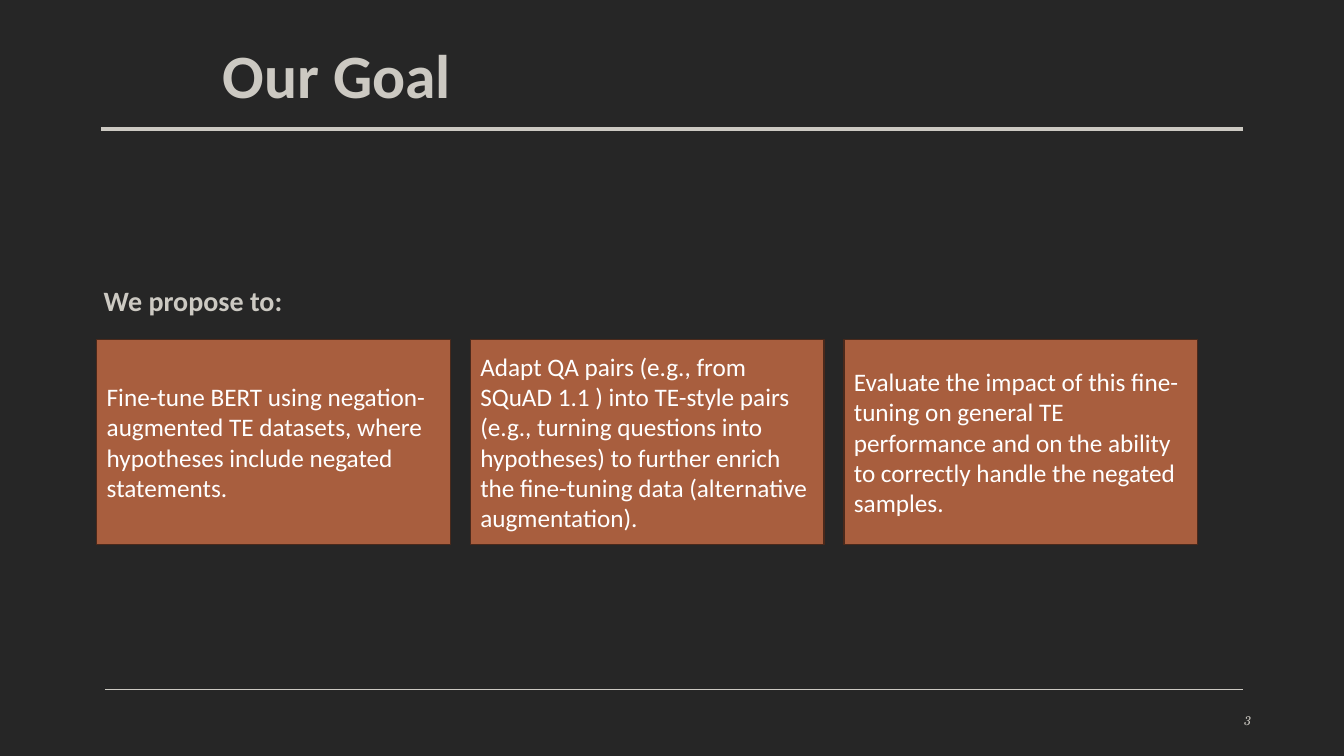
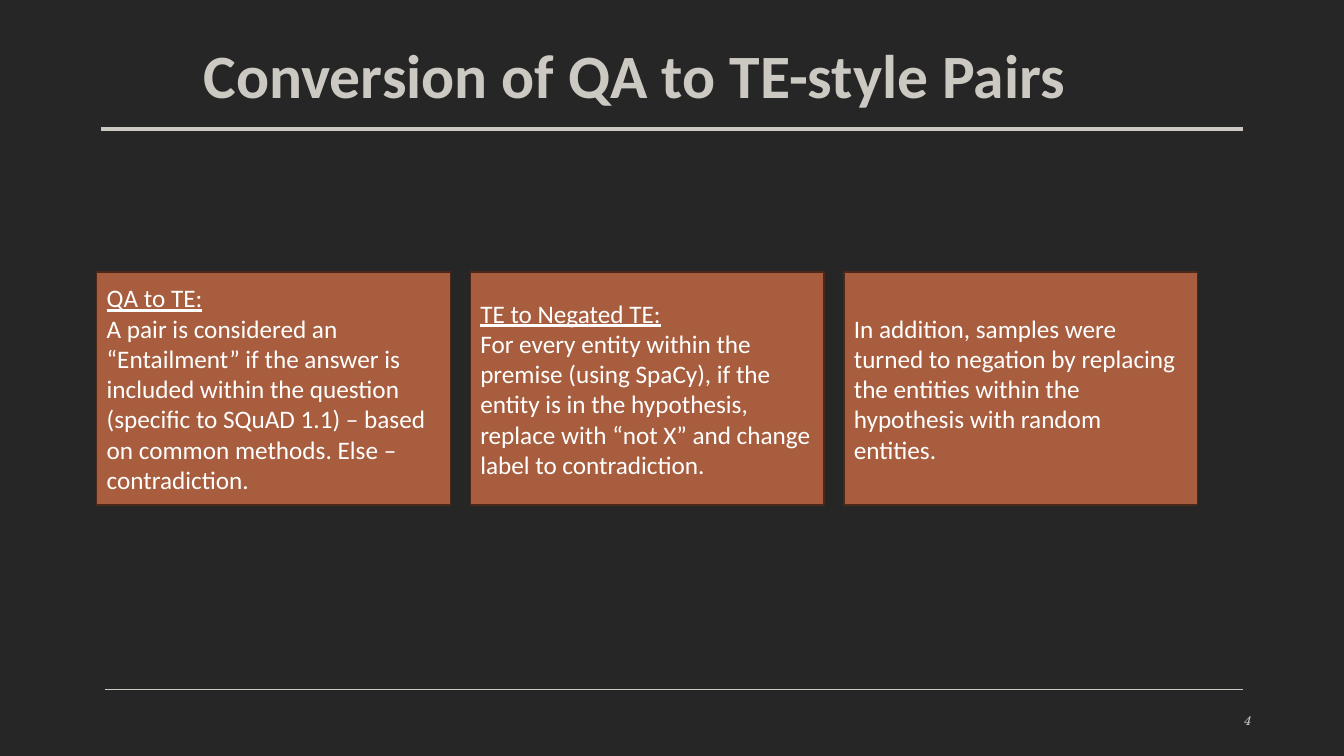
from lxml import etree
from pptx import Presentation
from pptx.dml.color import RGBColor
from pptx.enum.shapes import MSO_CONNECTOR, MSO_SHAPE
from pptx.enum.text import MSO_ANCHOR, PP_ALIGN
from pptx.oxml.ns import qn
from pptx.util import Inches, Pt

SLIDES = [
    {
        "number": 3,
        "title": "Our Goal",
        "title_left": 2.11,
        "lead": "We propose to:",
        "cards_top": 3.37,
        "cards_height": 2.03,
        "cards": [
            (None, "Fine-tune BERT using negation-augmented TE datasets, where "
                   "hypotheses include negated statements."),
            (None, "Adapt QA pairs (e.g., from SQuAD 1.1 ) into TE-style pairs "
                   "(e.g., turning questions into hypotheses) to further enrich "
                   "the fine-tuning data (alternative augmentation)."),
            (None, "Evaluate the impact of this fine-tuning on general TE "
                   "performance and on the ability to correctly handle the "
                   "negated samples."),
        ],
    },
    {
        "number": 4,
        "title": "Conversion of QA to TE-style Pairs",
        "title_left": 1.92,
        "lead": None,
        "cards_top": 2.7,
        "cards_height": 2.31,
        "cards": [
            ("QA to TE:", "A pair is considered an “Entailment” if the answer is "
                          "included within the question (specific to SQuAD 1.1) – "
                          "based on common methods. Else – contradiction."),
            ("TE to Negated TE:", "For every entity within the premise (using "
                                  "SpaCy), if the entity is in the hypothesis, "
                                  "replace with “not X” and change label to "
                                  "contradiction."),
            (None, "In addition, samples were turned to negation by replacing the "
                   "entities within the hypothesis with random entities."),
        ],
    },
]

COLORS = {"background": "262626", "text": "CCC9C2", "card": "A85E3E",
          "card_edge": "4A291B", "card_text": "FFFFFF"}
BODY_FONT, NUMBER_FONT = "Calibri", "TeX Gyre Schola"
WIDTH, HEIGHT = 13.33, 7.5
RIGHT_EDGE = 12.33
CARD_LEFT, CARD_WIDTH, CARD_GAP = 0.96, 3.51, 0.195


def color(name):
    return RGBColor.from_string(COLORS[name])


def style(paragraph, size, color_name, name=BODY_FONT, **flags):
    font = paragraph.font
    font.name, font.size = name, Pt(size)
    font.color.rgb = color(color_name)
    for flag, value in flags.items():
        setattr(font, flag, value)


def add_rule(slide, left, y, weight):
    """Draw a horizontal line from left to the shared right edge."""
    line = slide.shapes.add_connector(MSO_CONNECTOR.STRAIGHT, Inches(left), Inches(y),
                                      Inches(RIGHT_EDGE), Inches(y))
    line.line.color.rgb = color("text")
    line.line.width = Pt(weight)
    etree.SubElement(line._element.spPr, qn("a:effectLst"))


def add_text(slide, text, left, top, width, height, anchor):
    """Add a one-paragraph text box and return the paragraph."""
    box = slide.shapes.add_textbox(*map(Inches, (left, top, width, height)))
    frame = box.text_frame
    frame.word_wrap = True
    frame.vertical_anchor = anchor
    frame.text = text
    return frame.paragraphs[0]


def add_card(slide, column, top, height, heading, body):
    left = CARD_LEFT + column * (CARD_WIDTH + CARD_GAP)
    card = slide.shapes.add_shape(MSO_SHAPE.RECTANGLE,
                                  *map(Inches, (left, top, CARD_WIDTH, height)))
    card.shadow.inherit = False
    card.fill.solid()
    card.fill.fore_color.rgb = color("card")
    card.line.color.rgb = color("card_edge")
    card.line.width = Pt(1)
    frame = card.text_frame
    frame.word_wrap = True
    frame.vertical_anchor = MSO_ANCHOR.MIDDLE
    frame.text = f"{heading}\n{body}" if heading else body
    for paragraph in frame.paragraphs:
        paragraph.alignment = PP_ALIGN.LEFT
        style(paragraph, 18, "card_text")
    if heading:
        frame.paragraphs[0].font.underline = True


def add_frame(slide, title, title_left, number):
    """Add what all slides share: title, both rules and the slide number."""
    heading = add_text(slide, title, title_left, 0.18, 12.37 - title_left, 0.97,
                       MSO_ANCHOR.BOTTOM)
    style(heading, 44, "text", bold=True)
    add_rule(slide, 1, 1.28, 3)
    add_rule(slide, 1.04, 6.84, 0.85)
    page = add_text(slide, str(number), 11.83, 6.95, 0.68, 0.4, MSO_ANCHOR.MIDDLE)
    page.alignment = PP_ALIGN.RIGHT
    style(page, 9, "text", NUMBER_FONT, italic=True)


def add_lead(slide, text):
    lead = add_text(slide, text, 0.93, 2.7, 11.4, 0.6, MSO_ANCHOR.TOP)
    lead.line_spacing = 1.2
    lead.space_before = Pt(10)
    style(lead, 20, "text", bold=True)


def main():
    presentation = Presentation()
    presentation.slide_width, presentation.slide_height = Inches(WIDTH), Inches(HEIGHT)
    background = presentation.slide_master.background.fill
    background.solid()
    background.fore_color.rgb = color("background")
    for content in SLIDES:
        slide = presentation.slides.add_slide(presentation.slide_layouts[6])
        add_frame(slide, content["title"], content["title_left"], content["number"])
        if content["lead"]:
            add_lead(slide, content["lead"])
        for column, (heading, body) in enumerate(content["cards"]):
            add_card(slide, column, content["cards_top"], content["cards_height"],
                     heading, body)
    presentation.save("out.pptx")


if __name__ == "__main__":
    main()
